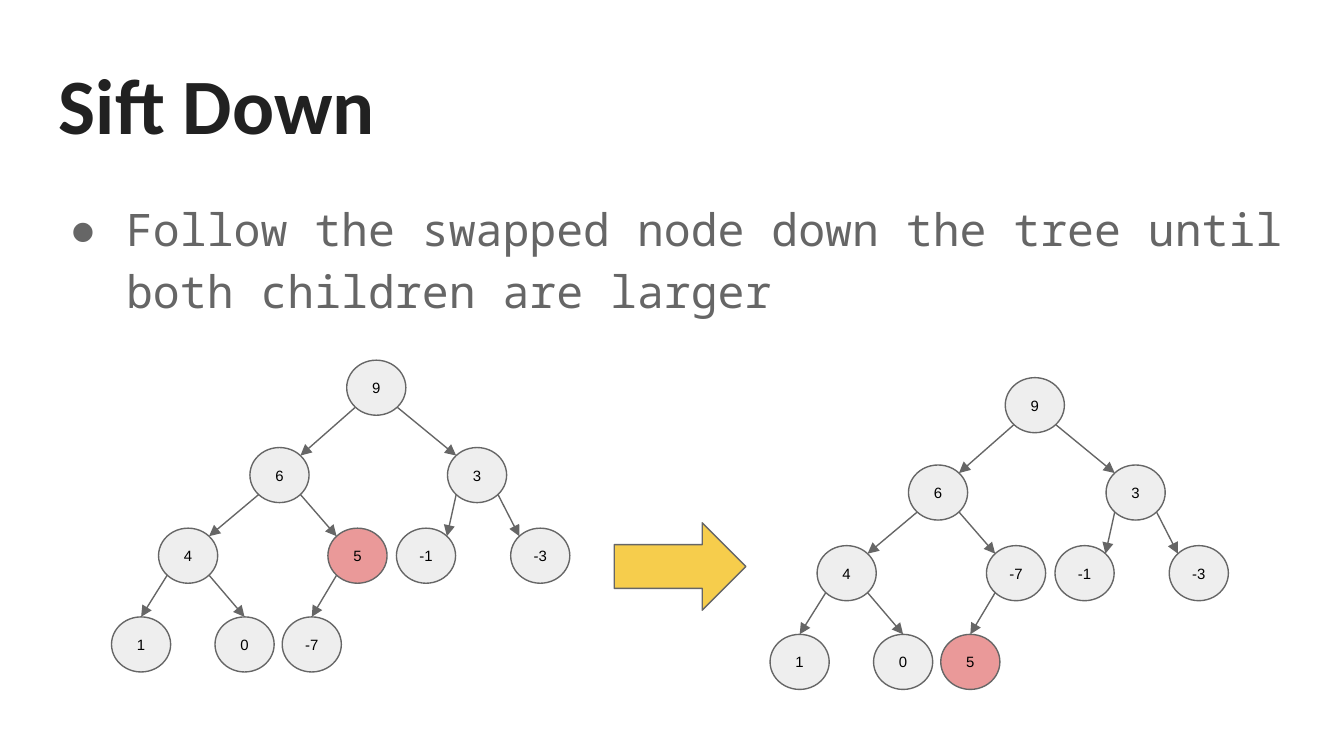
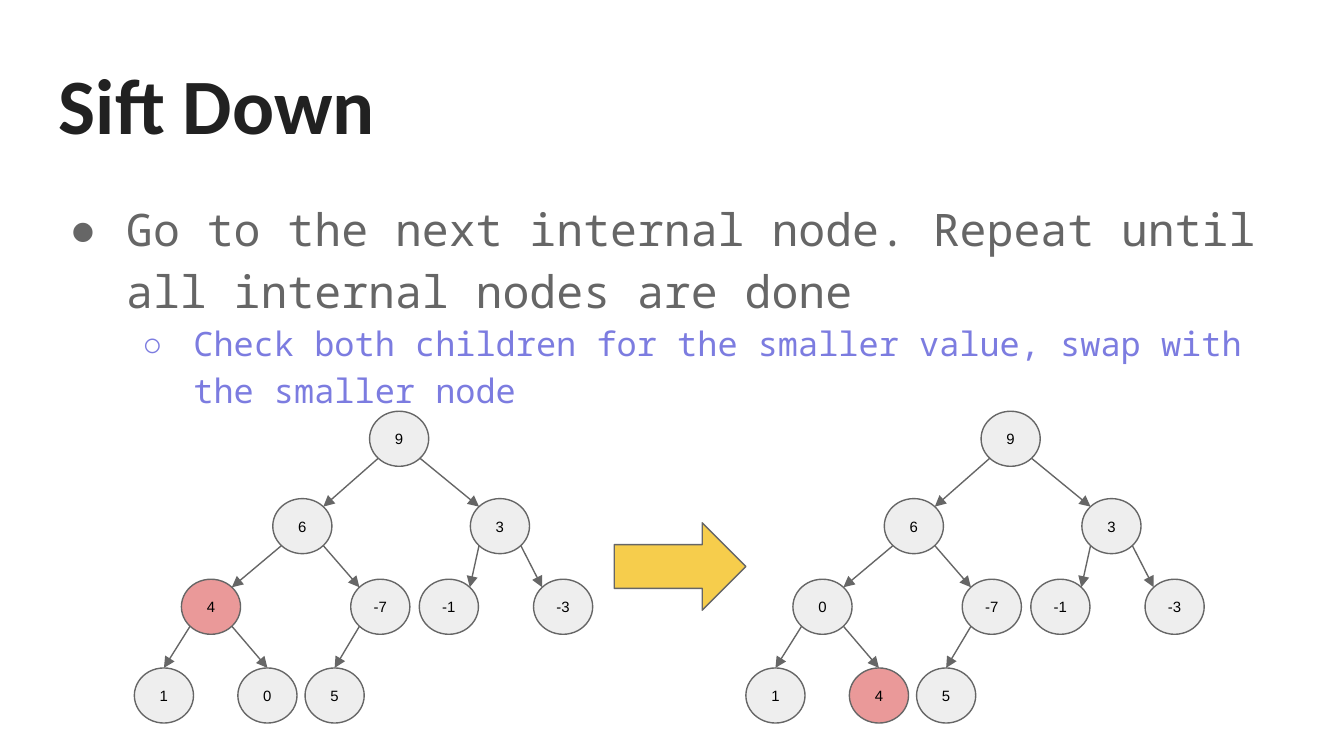
from lxml import etree
from pptx import Presentation
from pptx.dml.color import RGBColor
from pptx.enum import shapes, text
from pptx.oxml.ns import qn
from pptx.util import Pt

PX = 9144  # EMU per px, 100 px to the inch

COLORS = {
    "title": "212121", "body": "666666", "detail": "7C7CE0",
    "node": "EEEEEE", "active": "EA9999", "outline": "666666",
    "value": "000000", "arrow": "F6CD4C",
}

# Content: bullets are (level, text); trees are heaps in level order
TITLE = "Sift Down"
SLIDES = [
    {
        "body_size": (943, 365),
        "bullets": [
            (0, "Follow the swapped node down the tree until both children are larger"),
        ],
        "trees": [
            {"at": (83, 268), "values": [9, 6, 3, 4, 5, -1, -3, 1, 0, -7], "active": 5},
            {"at": (573, 281), "values": [9, 6, 3, 4, -7, -1, -3, 1, 0, 5], "active": 5},
        ],
    },
    {
        "body_size": (932, 152),
        "bullets": [
            (0, "Go to the next internal node. Repeat until all internal nodes are done"),
            (1, "Check both children for the smaller value, swap with the smaller node"),
        ],
        "trees": [
            {"at": (100, 306), "values": [9, 6, 3, 4, -7, -1, -3, 1, 0, 5], "active": 4},
            {"at": (555, 306), "values": [9, 6, 3, 0, -7, -1, -3, 1, 4, 5], "active": 4},
        ],
    },
]

# Layout
SLIDE_W = 1000
TITLE_BOX = (34, 32, 932, 88)
BODY_AT = (34, 134)
ARROW_BOX = (457, 389, 98, 65)
NODE_W, NODE_H = 44, 41
NODE_X = [175, 103, 250, 35, 161, 212, 297, 0, 77, 127]
LEVEL_Y = [0, 65, 125, 191]
DIAGONAL = 0.5 ** 0.5  # where the ellipse meets its 45° corners
BULLETS = [  # by level: mark, text size, colour, indent, hang
    ("●", 24, "body", 50, 42),
    ("○", 18, "detail", 100, 38),
]


def emu(*lengths):
    return [round(length * PX) for length in lengths]


def rgb(name):
    return RGBColor.from_string(COLORS[name])


def style_font(paragraph, face, size, color, bold=False):
    font = paragraph.font
    font.name, font.size, font.bold = face, Pt(size), bold
    font.color.rgb = rgb(color)


def add_text_frame(slide, box):
    frame = slide.shapes.add_textbox(*emu(*box)).text_frame
    frame.word_wrap = True
    set_margins(frame)
    return frame


def set_margins(frame):
    frame.margin_left = frame.margin_right = 10 * PX
    frame.margin_top = frame.margin_bottom = 10 * PX


def add_title(slide):
    heading = add_text_frame(slide, TITLE_BOX).paragraphs[0]
    heading.text = TITLE
    style_font(heading, "Calibri", 42, "title", bold=True)


def add_bullets(slide, size, bullets):
    frame = add_text_frame(slide, (*BODY_AT, *size))
    for i, (level, words) in enumerate(bullets):
        mark, points, color, indent, hang = BULLETS[level]
        bullet = frame.add_paragraph() if i else frame.paragraphs[0]
        bullet.text, bullet.level, bullet.line_spacing = words, level, 1.15
        props = bullet._p.get_or_add_pPr()
        props.set("marL", str(indent * PX))
        props.set("indent", str(-hang * PX))
        mark_color = etree.SubElement(props, qn("a:buClr"))
        etree.SubElement(mark_color, qn("a:srgbClr"), val=COLORS[color])
        etree.SubElement(props, qn("a:buFont"), typeface="Noto Sans Mono")
        etree.SubElement(props, qn("a:buChar"), char=mark)
        style_font(bullet, "Noto Sans Mono", points, color)


def add_outlined(parent, kind, box, fill):
    outlined = parent.shapes.add_shape(kind, *emu(*box))
    outlined.shadow.inherit = False
    outlined.fill.solid()
    outlined.fill.fore_color.rgb = rgb(fill)
    set_outline(outlined.line)
    return outlined


def set_outline(line):
    line.color.rgb = rgb("outline")
    line.width = Pt(0.75)


def add_node(tree, corner, value, fill):
    box = (*corner, NODE_W, NODE_H)
    frame = add_outlined(tree, shapes.MSO_SHAPE.OVAL, box, fill).text_frame
    frame.word_wrap = True
    frame.vertical_anchor = text.MSO_ANCHOR.MIDDLE
    set_margins(frame)
    label = frame.paragraphs[0]
    label.text = str(value)
    label.alignment = text.PP_ALIGN.CENTER
    style_font(label, "Arial", 8, "value")


def rim_point(corner, dx, dy):
    """Point on a node's rim; dx and dy run from -1 to 1 from its centre."""
    return (corner[0] + NODE_W / 2 * (1 + dx), corner[1] + NODE_H / 2 * (1 + dy))


def add_edge(tree, start, end):
    edge = tree.shapes.add_connector(shapes.MSO_CONNECTOR.STRAIGHT, *emu(*start, *end))
    set_outline(edge.line)
    props = edge._element.spPr
    etree.SubElement(props.find(qn("a:ln")), qn("a:tailEnd"), type="triangle")
    etree.SubElement(props, qn("a:effectLst"))


def add_tree(slide, at, values, active):
    tree = slide.shapes.add_group_shape()
    levels = [(i + 1).bit_length() - 1 for i in range(len(values))]
    corners = [(at[0] + x, at[1] + LEVEL_Y[lv]) for x, lv in zip(NODE_X, levels)]
    for corner, value in zip(corners, values):
        add_node(tree, corner, value, "active" if value == active else "node")
    for child in range(1, len(values)):
        side = -DIAGONAL if child % 2 else DIAGONAL
        start = rim_point(corners[(child - 1) // 2], side, DIAGONAL)
        # Edges reach the bottom level at the top of the node
        entry = (0, -1) if levels[child] == 3 else (-side, -DIAGONAL)
        add_edge(tree, start, rim_point(corners[child], *entry))


def main():
    deck = Presentation()
    deck.slide_width, deck.slide_height = emu(SLIDE_W, SLIDE_W * 9 / 16)
    for content in SLIDES:
        slide = deck.slides.add_slide(deck.slide_layouts[6])
        add_title(slide)
        add_bullets(slide, content["body_size"], content["bullets"])
        for tree in content["trees"]:
            add_tree(slide, **tree)
        add_outlined(slide, shapes.MSO_SHAPE.RIGHT_ARROW, ARROW_BOX, "arrow")
    deck.save("out.pptx")


if __name__ == "__main__":
    main()
